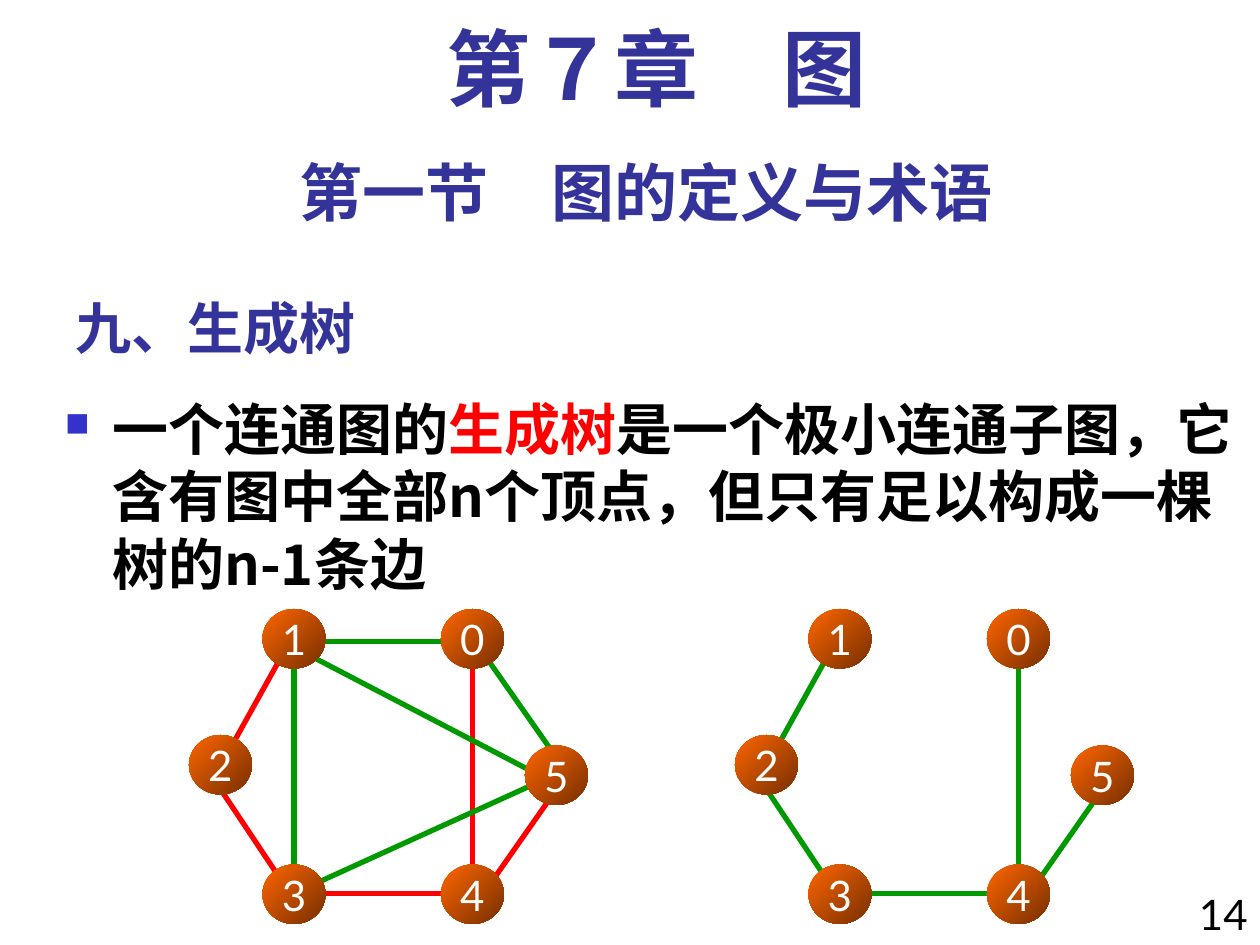
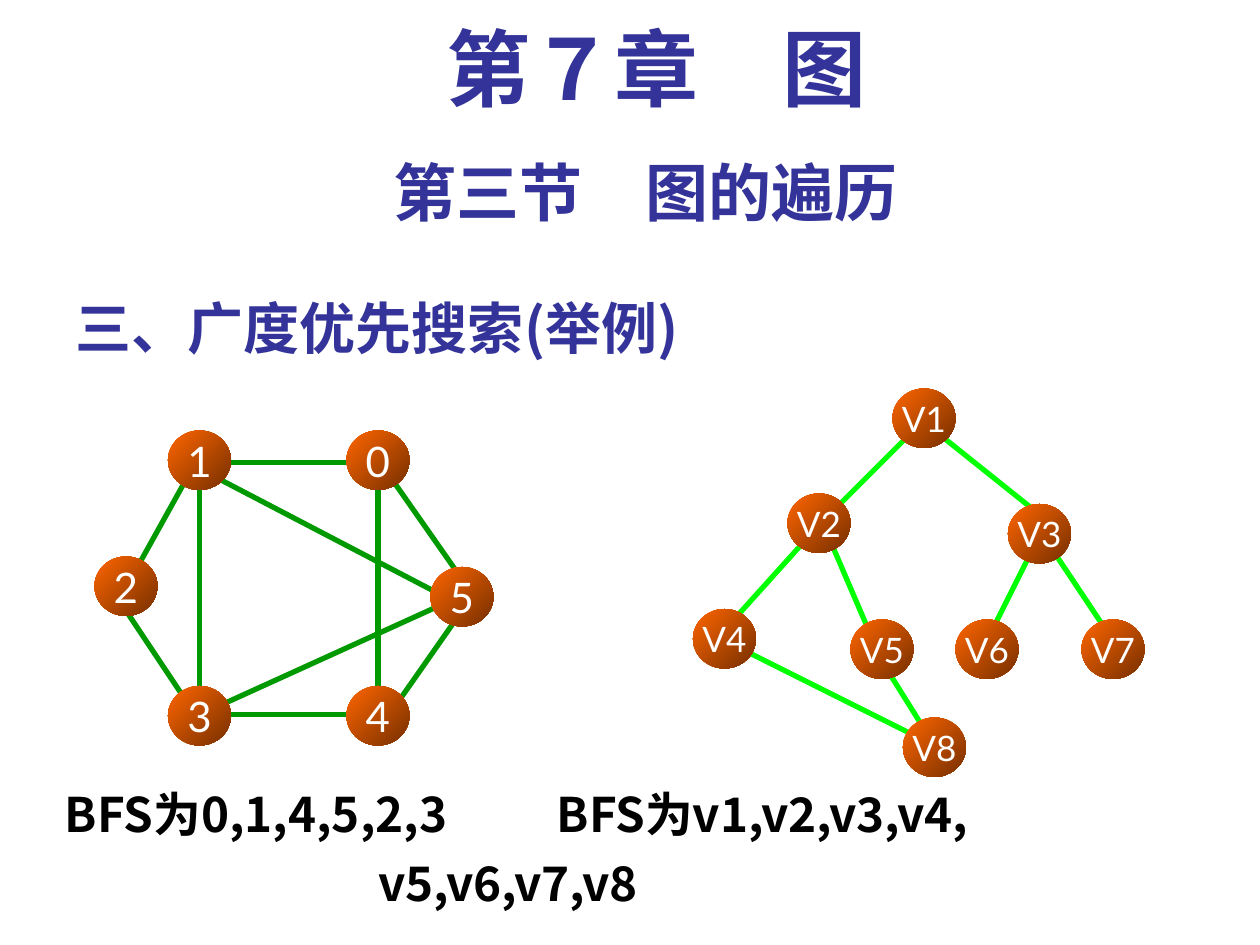
from pptx import Presentation
from pptx.dml.color import RGBColor
from pptx.enum.shapes import MSO_CONNECTOR as CONN, MSO_SHAPE as SHAPE
from pptx.enum.text import MSO_ANCHOR as ANCHOR, MSO_AUTO_SIZE as AUTO, PP_ALIGN as ALIGN
from pptx.oxml.ns import qn
from pptx.util import Pt
from lxml.etree import SubElement

NAVY, BLACK, WHITE, RED = "333399", "000000", "FFFFFF", "FF0000"
GREEN, LIME, BULLET = "009900", "00FF00", "3333CC"
ORANGE, BROWN = "FF6600", "762F00"
CJK, LATO, SERIF = "Noto Sans CJK SC", "Lato", "Times New Roman"
NODE_W, NODE_H = 36, 34

HEX_NODES = {"1": (42, 0), "3": (42, 146), "2": (0, 72),
             "5": (192, 78), "4": (144, 146), "0": (144, 0)}
HEX_EDGES = {
    "01": (150, 18.5, 78, 18.5), "04": (162, 31, 162, 151),
    "05": (168, 25, 210, 85), "12": (54, 25, 24, 79),
    "13": (60, 157, 60, 31), "15": (204, 97, 66, 25),
    "23": (54, 157, 18, 103), "34": (156, 162.5, 72, 162.5),
    "35": (204, 97, 72, 157), "45": (210, 103, 168, 163),
}
CYCLE_EDGES = ("04", "12", "23", "34", "45")
SPANNING_EDGES = ("04", "12", "23", "34", "45")

TREE_NODES = {"V1": (114, 0), "V3": (180, 66), "V2": (54, 60), "V5": (90, 132),
              "V4": (0, 126), "V6": (150, 132), "V7": (222, 132), "V8": (120, 188)}
TREE_EDGES = {
    "V2V4": (72, 78, 18, 138), "V1V2": (126, 24, 72, 78),
    "V2V5": (108, 156, 72, 72), "V4V8": (138, 204, 18, 144),
    "V5V8": (138, 204, 108, 156), "V1V3": (138, 24, 198, 72),
    "V3V6": (198, 84, 168, 144), "V3V7": (204, 90, 240, 144),
}


def rgb(value):
    return RGBColor.from_string(value)


def add_run(p, text, size, color, font=LATO, bold=True):
    r = p.add_run()
    r.text = text
    for name, value in {"size": Pt(size), "name": font, "bold": bold}.items():
        setattr(r.font, name, value)
    r.font.color.rgb = rgb(color)
    SubElement(r.font._element, qn("a:ea"), typeface=LATO)


def add_textbox(s, left, top, width, height):
    sp = s.shapes.add_textbox(Pt(left), Pt(top), Pt(width), Pt(height))
    sp.text_frame.word_wrap = True
    return sp.text_frame


def add_line(s, box, text, size, color, align, font=LATO, bold=True, leading=None):
    p = add_textbox(s, *box).paragraphs[0]
    p.alignment = align
    if leading:
        p.line_spacing = Pt(leading)
    add_run(p, text, size, color, font, bold)


def add_heading(s, text, width):
    title = s.shapes.title
    place = {"left": 36, "top": 156, "width": width, "height": 54}
    for name, value in place.items():
        setattr(title, name, Pt(value))
    tf = title.text_frame
    frame = {"auto_size": AUTO.NONE, "word_wrap": True, "vertical_anchor": ANCHOR.BOTTOM}
    for name, value in frame.items():
        setattr(tf, name, value)
    p = tf.paragraphs[0]
    p.alignment = ALIGN.LEFT
    p.line_spacing = Pt(38.4)
    add_run(p, text, 32, NAVY, CJK)


def start_slide(prs, section, heading, heading_width):
    s = prs.slides.add_slide(prs.slide_layouts[5])
    add_heading(s, heading, heading_width)
    add_line(s, (36, 84, 666, 50), section, 36, NAVY, ALIGN.CENTER, leading=43.2)
    add_line(s, (48, 12, 654, 60), "第７章　图", 48, NAVY, ALIGN.CENTER, SERIF, leading=51.8)
    return s


def set_bullet(p):
    pPr = p._p.get_or_add_pPr()
    pPr.set("marL", str(Pt(27)))
    pPr.set("indent", str(Pt(-27)))
    SubElement(SubElement(pPr, qn("a:buClr")), qn("a:srgbClr"), val=BULLET)
    SubElement(pPr, qn("a:buSzPct"), val="60000")
    SubElement(pPr, qn("a:buChar"), char="■")


def add_definition(s, parts):
    p = add_textbox(s, 30, 222, 690, 318).paragraphs[0]
    set_bullet(p)
    p.line_spacing = Pt(38.4)
    for text, color in parts:
        add_run(p, text, 32, color, CJK)


def add_orders(s, first, second, rest):
    tf = add_textbox(s, 30, 450, 690, 90)
    p = tf.paragraphs[0]
    tabs = SubElement(p._p.get_or_add_pPr(), qn("a:tabLst"))
    SubElement(tabs, qn("a:tab"), pos=str(Pt(281)), algn="l")
    add_run(p, f"{first}\t{second}", 27.2, BLACK, CJK)
    p.line_spacing = Pt(27.4)
    p = tf.add_paragraph()
    p._p.get_or_add_pPr().set("marL", str(Pt(179)))
    p.line_spacing = Pt(27.4)
    p.space_before = Pt(12)
    add_run(p, rest, 27.2, BLACK, CJK)


def add_edge(group, x1, y1, x2, y2, color):
    line = group.shapes.add_connector(CONN.STRAIGHT, Pt(x1), Pt(y1), Pt(x2), Pt(y2))
    line.line.width = Pt(3)
    line.line.color.rgb = rgb(color)
    SubElement(line._element.spPr, qn("a:effectLst"))


def add_node(group, x, y, label, size):
    sp = group.shapes.add_shape(SHAPE.OVAL, Pt(x), Pt(y), Pt(NODE_W), Pt(NODE_H))
    sp.shadow.inherit = False
    sp.line.fill.background()
    sp.fill.gradient()
    sp.fill.gradient_angle = 315
    for stop, color in zip(sp.fill.gradient_stops, (ORANGE, BROWN)):
        stop.color.rgb = rgb(color)
    tf = sp.text_frame
    frame = {"word_wrap": False, "vertical_anchor": ANCHOR.MIDDLE,
             "margin_left": 0, "margin_right": 0}
    for name, value in frame.items():
        setattr(tf, name, value)
    p = tf.paragraphs[0]
    p.alignment = ALIGN.CENTER
    add_run(p, label, size, WHITE, bold=False)


def add_graph(s, x, y, nodes, edges, size=24, color=GREEN, marked=()):
    group = s.shapes.add_group_shape()
    for name, (x1, y1, x2, y2) in edges.items():
        add_edge(group, x + x1, y + y1, x + x2, y + y2, RED if name in marked else color)
    for label, (dx, dy) in nodes.items():
        add_node(group, x + dx, y + dy, label, size)


def spanning_tree_slide(prs):
    s = start_slide(prs, "第一节　图的定义与术语", "九、生成树", 450)
    add_line(s, (672, 504, 48, 42), "14", 24, BLACK, ALIGN.RIGHT, bold=False)
    add_definition(s, [
        ("一个连通图的", BLACK), ("生成树", RED),
        ("是一个极小连通子图，它含有图中全部n个顶点，但只有足以构成一棵树的n-1条边", BLACK)])
    add_graph(s, 108, 348, HEX_NODES, HEX_EDGES, marked=CYCLE_EDGES)
    spanning = {name: HEX_EDGES[name] for name in SPANNING_EDGES}
    add_graph(s, 420, 348, HEX_NODES, spanning)


def breadth_first_slide(prs):
    s = start_slide(prs, "第三节　图的遍历", "三、广度优先搜索(举例)", 594)
    add_orders(s, "BFS为0,1,4,5,2,3", "BFS为v1,v2,v3,v4,", "v5,v6,v7,v8")
    add_graph(s, 54, 246, HEX_NODES, HEX_EDGES)
    add_graph(s, 396, 222, TREE_NODES, TREE_EDGES, size=20, color=LIME)


def main():
    prs = Presentation()
    prs.slide_width, prs.slide_height = Pt(720), Pt(540)
    spanning_tree_slide(prs)
    breadth_first_slide(prs)
    prs.save("out.pptx")


if __name__ == "__main__":
    main()
